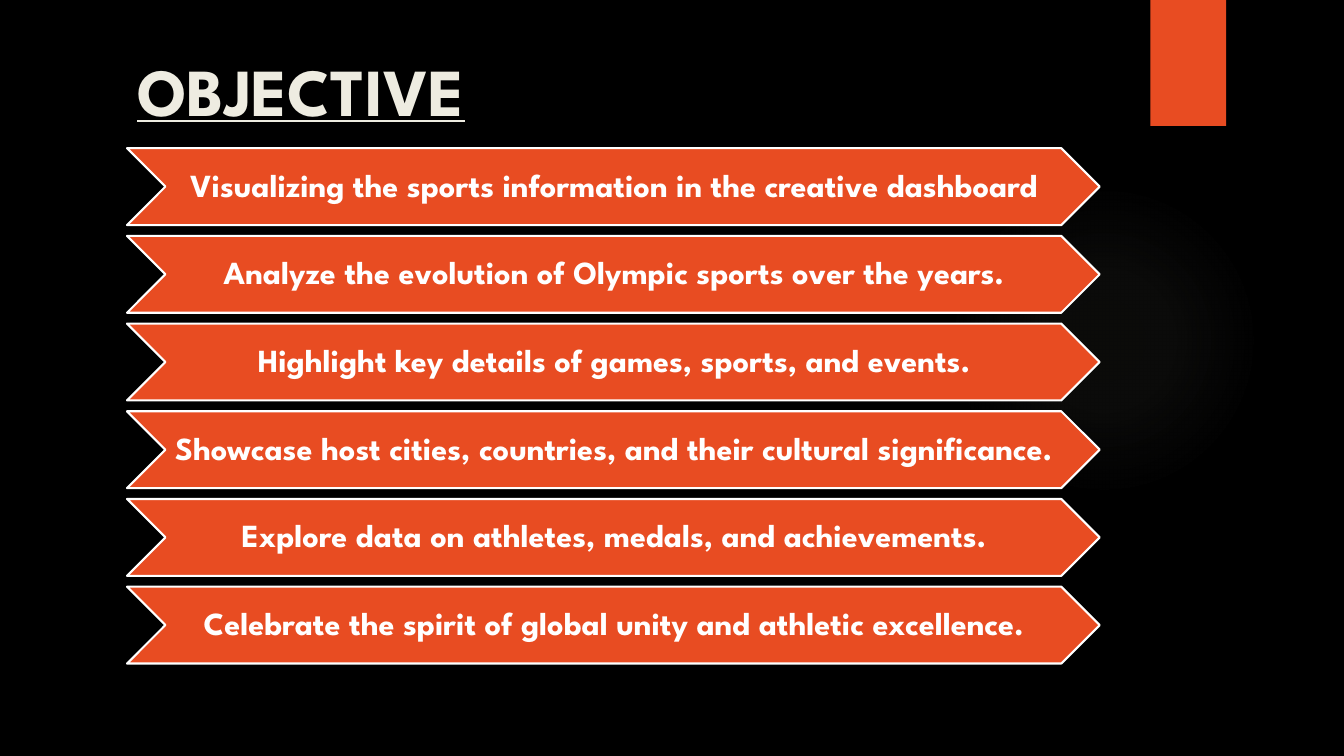
"""Build the Objective slide: a title above a stack of chevron banners."""
import pptx
import pptx.dml.color
import pptx.enum.shapes
import pptx.enum.text
import pptx.oxml
import pptx.oxml.ns
import pptx.util

TITLE = "OBJECTIVE"
OBJECTIVES = [
    "Visualizing the sports information in the creative dashboard",
    "Analyze the evolution of Olympic sports over the years.",
    "Highlight key details of games, sports, and events.",
    "Showcase host cities, countries, and their cultural significance.",
    "Explore data on athletes, medals, and achievements.",
    "Celebrate the spirit of global unity and athletic excellence.",
]
FONT = "League Spartan"
COLORS = {"back": "000000", "accent": "E84C22", "title": "EEECE1",
          "white": "FFFFFF", "glow": "9A9A8C"}
GLOW_STOPS = [(0, 7), (36, 6), (69, 0)]
LEFT, TOP, WIDTH, HEIGHT, PITCH = 90.72, 105.84, 694.8, 54.9, 62.64

Pt = pptx.util.Pt
SHAPES = pptx.enum.shapes.MSO_SHAPE
ANCHOR = pptx.enum.text.MSO_ANCHOR
ALIGN = pptx.enum.text.PP_ALIGN


def rgb(name):
    return pptx.dml.color.RGBColor.from_string(COLORS[name])


def add_shape(slide, kind, box, fill=None, line=None):
    sp = slide.shapes.add_shape(kind, *map(Pt, box))
    sp.shadow.inherit = False
    if fill:
        sp.fill.solid()
        sp.fill.fore_color.rgb = rgb(fill)
    if line:
        sp.line.color.rgb = rgb(line)
        sp.line.width = Pt(1.5)
    else:
        sp.line.fill.background()
    return sp


def set_text(sp, text, *, size, color, align, anchor, insets,
             underline=False, spacing=1.0):
    tf = sp.text_frame
    tf.word_wrap = True
    tf.auto_size = pptx.enum.text.MSO_AUTO_SIZE.NONE
    tf.vertical_anchor = anchor
    tf.margin_left, tf.margin_top, tf.margin_right, tf.margin_bottom = map(Pt, insets)
    p = tf.paragraphs[0]
    p.alignment = align
    p.line_spacing = spacing
    r = p.add_run()
    r.text = text
    r.font.name = FONT
    r.font.size = Pt(size)
    r.font.bold = True
    r.font.underline = underline
    r.font.color.rgb = rgb(color)


def add_glow(slide):
    sp = add_shape(slide, SHAPES.OVAL, (677.5, 131.8, 221.8, 221.8))
    stops = "".join(
        f'<a:gs pos="{pos * 1000}"><a:srgbClr val="{COLORS["glow"]}">'
        f'<a:alpha val="{alpha * 1000}"/></a:srgbClr></a:gs>'
        for pos, alpha in GLOW_STOPS)
    grad = pptx.oxml.parse_xml(
        f'<a:gradFill {pptx.oxml.ns.nsdecls("a")}><a:gsLst>{stops}</a:gsLst>'
        '<a:path path="circle"><a:fillToRect l="50000" t="50000" r="50000" b="50000"/>'
        '</a:path></a:gradFill>')
    sp.element.spPr.find(pptx.oxml.ns.qn("a:prstGeom")).addnext(grad)


def main():
    prs = pptx.Presentation()
    prs.slide_width, prs.slide_height = Pt(960), Pt(540)
    slide = prs.slides.add_slide(prs.slide_layouts[5])
    slide.background.fill.solid()
    slide.background.fill.fore_color.rgb = rgb("back")

    add_glow(slide)
    add_shape(slide, SHAPES.RECTANGLE, (821.8, 0, 54, 90), fill="accent")

    title = slide.shapes.title
    title.left, title.top, title.width, title.height = map(Pt, (LEFT, 31.7, 457.2, 92.9))
    set_text(title, TITLE, size=48, color="title", align=ALIGN.LEFT,
             anchor=ANCHOR.TOP, insets=(7.2, 3.6, 7.2, 3.6), underline=True)

    for i, objective in enumerate(OBJECTIVES):
        sp = add_shape(slide, SHAPES.CHEVRON, (LEFT, TOP + i * PITCH, WIDTH, HEIGHT),
                       fill="accent", line="white")
        set_text(sp, objective, size=23, color="white", align=ALIGN.CENTER,
                 anchor=ANCHOR.MIDDLE, insets=(2.2, 1.4, 0, 1.4), spacing=0.9)

    prs.save("out.pptx")


if __name__ == "__main__":
    main()
